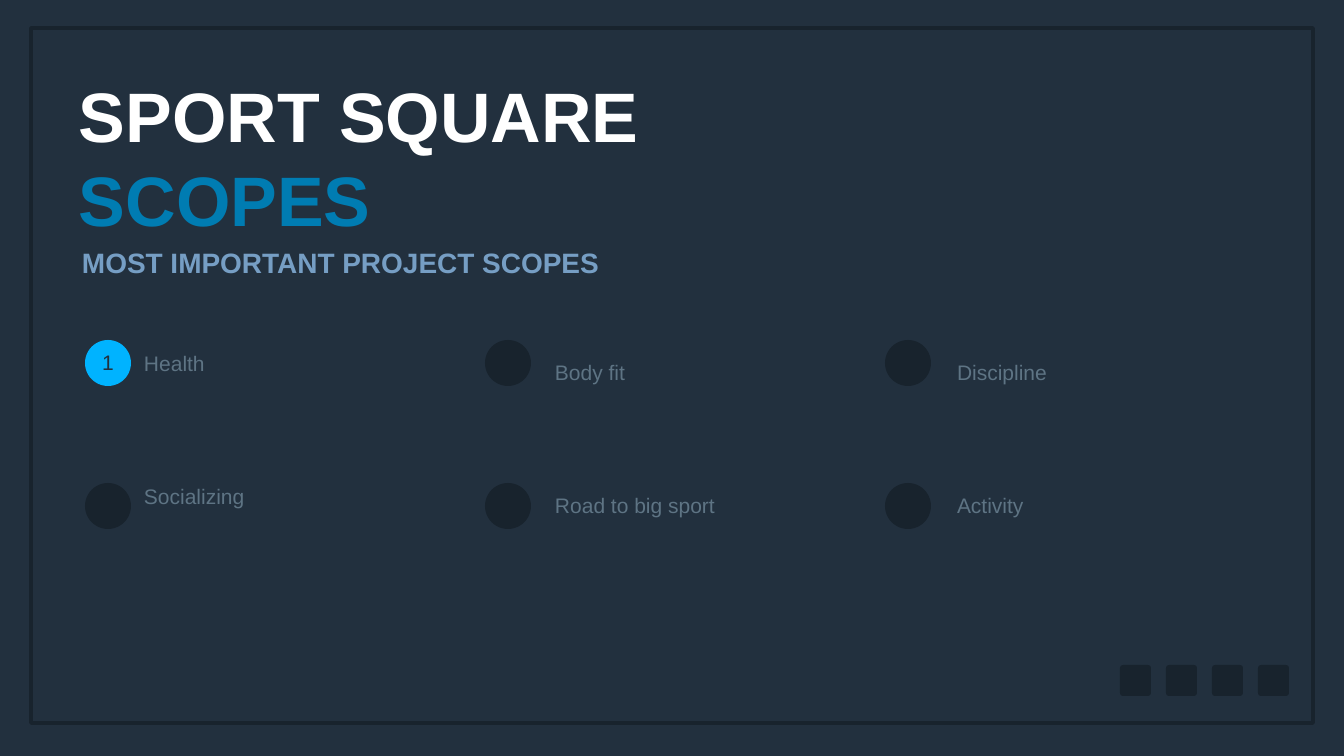
from pptx import Presentation
from pptx.dml.color import RGBColor
from pptx.enum.shapes import MSO_SHAPE as SHAPE
from pptx.enum.text import MSO_ANCHOR as ANCHOR, PP_ALIGN as ALIGN
from pptx.util import Emu, Pt

SCALE = 914400 / 50.4
NAVY, DARK, BRIGHT = "22303E", "18232D", "00B3FF"
ITEM_FORMAT = {"size": Pt(30), "name": "Arial"}
TITLE_FORMAT = {"size": Pt(100), "name": "Arial", "bold": True}
SUBTITLE_FORMAT = {"size": Pt(40), "name": "Arial", "bold": True}

COLUMNS = [
    (141, 347, ["Health", "Socializing"]),
    (552, 356, ["Body fit", "Road to big sport"]),
    (954, 356, ["Discipline", "Activity"]),
]


def px(n):
    return Emu(round(n * SCALE))


def rgb(color):
    return RGBColor.from_string(color)


def add_text(slide, x, y, w, h, lines, fmt, wrap=True, align=ALIGN.LEFT, gap=0):
    """Add a box of (text, colour) paragraphs, gap points apart."""
    tf = slide.shapes.add_textbox(px(x), px(y), px(w), px(h)).text_frame
    frame = {"word_wrap": wrap, "vertical_anchor": ANCHOR.MIDDLE}
    for side in ("left", "top", "right", "bottom"):
        frame[f"margin_{side}"] = px(3)
    for key, value in frame.items():
        setattr(tf, key, value)
    for i, (text, color) in enumerate(lines):
        p = tf.add_paragraph() if i else tf.paragraphs[0]
        p.alignment = align
        if i and gap:
            p.space_before = Pt(gap)
        r = p.add_run()
        r.text = text
        for key, value in fmt.items():
            setattr(r.font, key, value)
        r.font.color.rgb = rgb(color)


def add_shape(slide, kind, x, y, w, h, fill=None, line=None, width=5):
    sp = slide.shapes.add_shape(kind, px(x), px(y), px(w), px(h))
    sp.shadow.inherit = False
    if fill:
        sp.fill.solid()
        sp.fill.fore_color.rgb = rgb(fill)
    else:
        sp.fill.background()
    if line:
        sp.line.color.rgb = rgb(line)
        sp.line.width = Pt(width)
    else:
        sp.line.fill.background()
    return sp


def add_badge(slide, x, y, number=None):
    """Add a dark disc, or a bright one that carries a number."""
    add_shape(slide, SHAPE.OVAL, x, y, 46, 46, fill=BRIGHT if number else DARK)
    if number:
        add_text(slide, x + 5, y + 7, 36, 31, [(number, NAVY)],
                 ITEM_FORMAT, align=ALIGN.CENTER)


def main():
    prs = Presentation()
    prs.slide_width, prs.slide_height = px(1344), px(756)
    slide = prs.slides.add_slide(prs.slide_layouts[6])
    slide.background.fill.solid()
    slide.background.fill.fore_color.rgb = rgb(NAVY)

    add_shape(slide, SHAPE.RECTANGLE, 31, 28, 1282, 695, line=DARK)
    for i in range(4):
        icon = add_shape(slide, SHAPE.ROUNDED_RECTANGLE,
                         1120 + 46 * i, 665, 31, 31, fill=DARK)
        icon.adjustments[0] = 0.1

    add_text(slide, 76, 69, 572, 175,
             [("SPORT SQUARE", "FFFFFF"), ("SCOPES", "007CB2")],
             TITLE_FORMAT, wrap=False)
    add_text(slide, 79, 242, 530, 40,
             [("MOST IMPORTANT PROJECT SCOPES", "769EC4")],
             SUBTITLE_FORMAT, wrap=False)

    for col, (x, y, items) in enumerate(COLUMNS):
        add_text(slide, x, y, 310, 165, [(item, "5E7484") for item in items],
                 ITEM_FORMAT, gap=155)
        for row in range(len(items)):
            add_badge(slide, 85 + 400 * col, 340 + 143 * row,
                      number="1" if col == row == 0 else None)

    prs.save("out.pptx")


if __name__ == "__main__":
    main()
